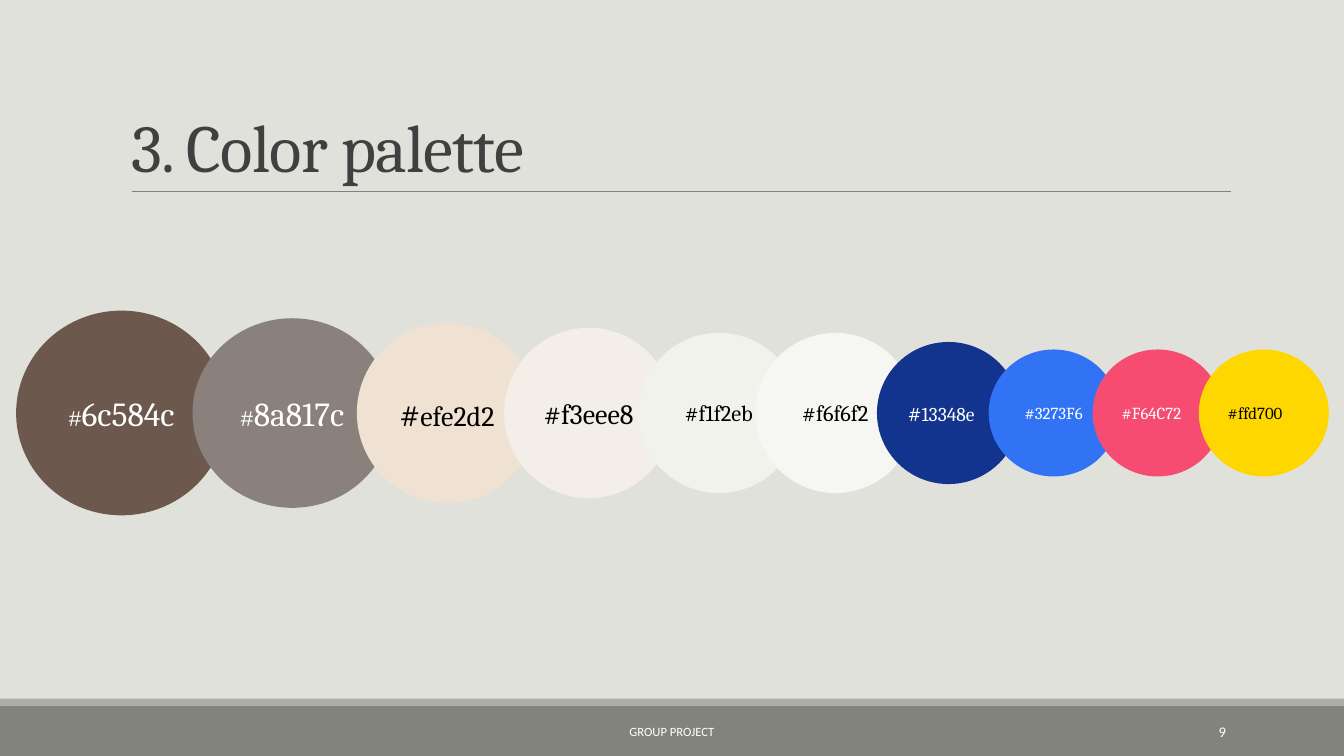
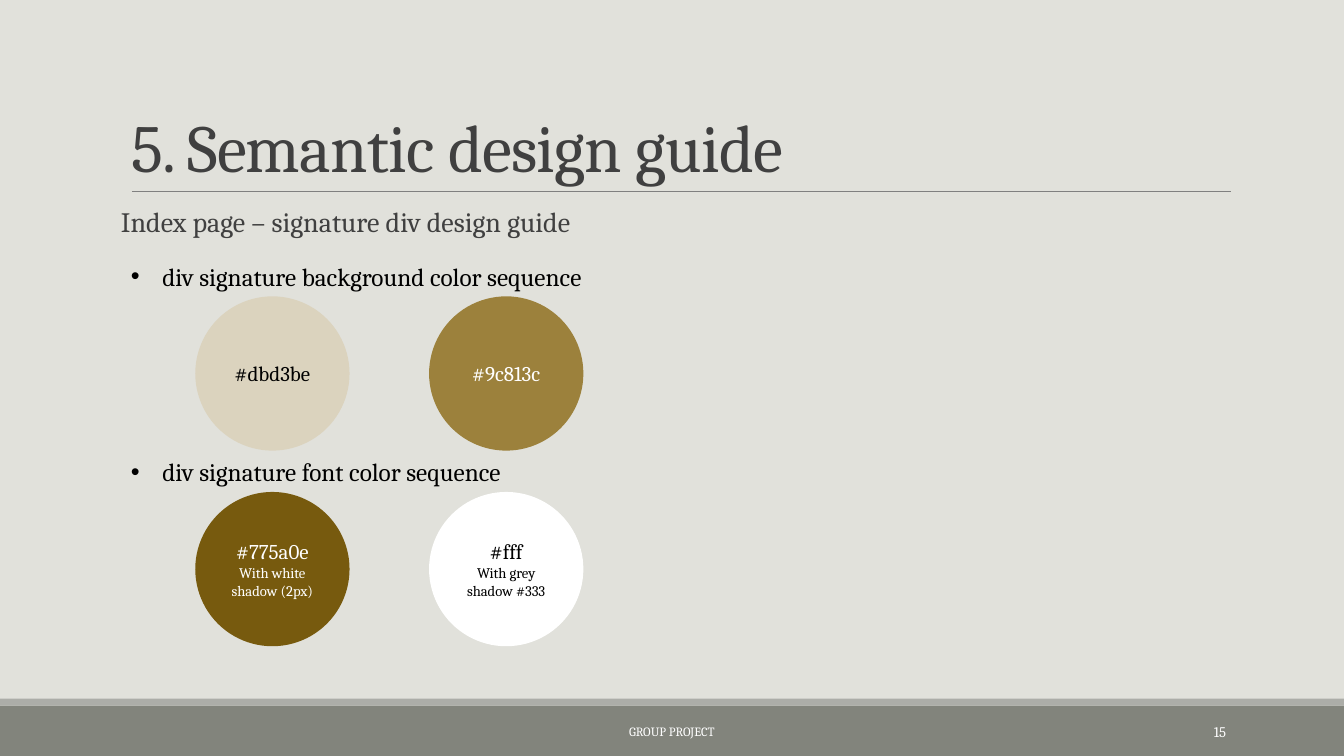
from dataclasses import dataclass
from typing import Optional

from lxml.etree import SubElement
from pptx import Presentation
from pptx.dml.color import RGBColor
from pptx.enum.shapes import MSO_CONNECTOR, MSO_SHAPE
from pptx.enum.text import MSO_ANCHOR, MSO_AUTO_SIZE, PP_ALIGN
from pptx.oxml.ns import qn
from pptx.util import Pt


@dataclass(frozen=True)
class Theme:
    background: str = "E1E1DB"
    band: str = "82847C"
    band_edge: str = "ACADA8"
    rule: str = "808080"
    heading: str = "404040"
    dark: str = "000000"
    light: str = "FFFFFF"
    serif: str = "Cambria"
    sans: str = "Calibri"
    mono: str = "Courier New"
    title_size: float = 48
    subtitle_size: float = 20
    bullet_size: float = 18
    code_size: float = 15
    note_size: float = 10.5
    number_size: float = 10.5
    footer_size: float = 9


THEME = Theme()
PAGE_WIDTH, PAGE_HEIGHT = 960, 540
CONTENT_LEFT, CONTENT_WIDTH = 86.4, 792


@dataclass(frozen=True)
class Span:
    text: str
    size: float
    font: str = THEME.serif


@dataclass(frozen=True)
class Swatch:
    """A coloured circle whose paragraphs are tuples of spans."""
    fill: str
    ink: str
    paragraphs: tuple[tuple[Span, ...], ...]
    align: PP_ALIGN = PP_ALIGN.CENTER


@dataclass(frozen=True)
class PaletteCircle:
    left: float
    width: float
    height: float
    swatch: Swatch


@dataclass(frozen=True)
class SwatchRow:
    caption: str
    swatches: tuple[Swatch, ...]


def rgb(value: str) -> RGBColor:
    return RGBColor.from_string(value)


def write(para, text: str, *, size: float, color: str, font: str = THEME.serif,
          align: Optional[PP_ALIGN] = None, tracking: Optional[int] = None) -> None:
    """Append formatted text; tracking is in hundredths of a point."""
    span = para.add_run()
    span.text = text
    span.font.size = Pt(size)
    span.font.name = font
    span.font.color.rgb = rgb(color)
    if align is not None:
        para.alignment = align
    if tracking is not None:
        span.font._element.set("spc", str(tracking))


def place(shape, left: float, top: float, width: float, height: float) -> None:
    shape.left, shape.top = Pt(left), Pt(top)
    shape.width, shape.height = Pt(width), Pt(height)


def set_indent(para, margin: float, hanging: float, bullet: Optional[str] = None) -> None:
    properties = para._p.get_or_add_pPr()
    properties.set("marL", str(Pt(margin)))
    properties.set("indent", str(-Pt(hanging)))
    if bullet is None:
        SubElement(properties, qn("a:buNone"))
    else:
        SubElement(properties, qn("a:buFont")).set("typeface", "Arial")
        SubElement(properties, qn("a:buChar")).set("char", bullet)


def add_filled(page, kind: MSO_SHAPE, left: float, top: float,
               width: float, height: float, fill: str):
    shape = page.shapes.add_shape(kind, Pt(left), Pt(top), Pt(width), Pt(height))
    shape.shadow.inherit = False
    shape.fill.solid()
    shape.fill.fore_color.rgb = rgb(fill)
    shape.line.fill.background()
    return shape


def add_box(page, left: float, top: float, width: float, height: float,
            anchor: MSO_ANCHOR = MSO_ANCHOR.TOP):
    """Add a wrapping text box and return its first paragraph."""
    box = page.shapes.add_textbox(Pt(left), Pt(top), Pt(width), Pt(height))
    box.text_frame.word_wrap = True
    box.text_frame.vertical_anchor = anchor
    return box.text_frame.paragraphs[0]


def add_swatch(page, swatch: Swatch, left: float, top: float,
               width: float, height: float) -> None:
    circle = add_filled(page, MSO_SHAPE.OVAL, left, top, width, height, swatch.fill)
    frame = circle.text_frame
    frame.word_wrap = True
    frame.vertical_anchor = MSO_ANCHOR.MIDDLE
    for index, spans in enumerate(swatch.paragraphs):
        para = frame.add_paragraph() if index else frame.paragraphs[0]
        for span in spans:
            write(para, span.text, size=span.size, font=span.font,
                  color=swatch.ink, align=swatch.align)


def add_page(deck, layout_index: int, title: str, number: str, footer_font: str):
    """Add a slide with the shared bands, rule, title and footer."""
    page = deck.slides.add_slide(deck.slide_layouts[layout_index])
    add_filled(page, MSO_SHAPE.RECTANGLE, 0, 504, PAGE_WIDTH, 36, THEME.band)
    add_filled(page, MSO_SHAPE.RECTANGLE, 0, 499, PAGE_WIDTH, 5, THEME.band_edge)
    rule = page.shapes.add_connector(MSO_CONNECTOR.STRAIGHT,
                                     Pt(94.3), Pt(136.8), Pt(879), Pt(136.8))
    rule.line.color.rgb = rgb(THEME.rule)
    rule.line.width = Pt(0.5)
    SubElement(rule._element.spPr, qn("a:effectLst"))

    heading = page.shapes.title
    place(heading, CONTENT_LEFT, 22.3, CONTENT_WIDTH, 114.5)
    heading.text_frame.auto_size = MSO_AUTO_SIZE.NONE
    heading.text_frame.vertical_anchor = MSO_ANCHOR.BOTTOM
    para = heading.text_frame.paragraphs[0]
    para.line_spacing = 0.85
    write(para, title, size=THEME.title_size, color=THEME.heading,
          align=PP_ALIGN.LEFT, tracking=-50)

    write(add_box(page, 779.8, 508.3, 103, 28.8, MSO_ANCHOR.MIDDLE), number,
          size=THEME.number_size, color=THEME.light, font=footer_font,
          align=PP_ALIGN.RIGHT)
    write(add_box(page, 290.2, 508.3, 379.4, 28.8, MSO_ANCHOR.MIDDLE), "GROUP PROJECT",
          size=THEME.footer_size, color=THEME.light, font=footer_font,
          align=PP_ALIGN.CENTER)
    return page


def code(fill: str, ink: str, text: str, size: float,
         align: PP_ALIGN = PP_ALIGN.CENTER) -> Swatch:
    return Swatch(fill, ink, ((Span(text, size),),), align)


def hash_code(fill: str, ink: str, digits: str, size: float, hash_size: float,
              hash_font: str = THEME.serif,
              align: PP_ALIGN = PP_ALIGN.CENTER) -> Swatch:
    """A colour code whose hash sign has its own format."""
    return Swatch(fill, ink, ((Span("#", hash_size, hash_font), Span(digits, size)),), align)


def noted_code(fill: str, ink: str, text: str, note: str) -> Swatch:
    return Swatch(fill, ink, ((Span(text, THEME.code_size),), (Span(note, THEME.note_size),)))


PALETTE = (
    PaletteCircle(11.5, 150.5, 146.2,
                  hash_code("6C584C", THEME.light, "6c584c", 24, 16, THEME.mono)),
    PaletteCircle(137.5, 142.6, 135.4,
                  hash_code("8A817C", THEME.light, "8a817c", 24, 16, THEME.mono)),
    PaletteCircle(254.9, 128.9, 128.9, hash_code("EFE2D2", THEME.dark, "efe2d2", 20, 24)),
    PaletteCircle(360, 121, 121.7, code("F3EEE8", THEME.dark, "#f3eee8", 20)),
    PaletteCircle(456, 115, 114.5, code("F1F2EB", THEME.dark, "#f1f2eb", 16)),
    PaletteCircle(539.5, 114.5, 114.5, code("F6F6F2", THEME.dark, "#f6f6f2", 16)),
    PaletteCircle(626.4, 102.2, 101.5,
                  hash_code("13348E", THEME.light, "13348e", 14, 16, align=PP_ALIGN.LEFT)),
    PaletteCircle(706.2, 92.9, 90.7, code("3273F6", THEME.light, "#3273F6", 12)),
    PaletteCircle(780.5, 92.9, 90.7,
                  code("F64C72", THEME.light, "#F64C72", 12, PP_ALIGN.LEFT)),
    PaletteCircle(856.3, 92.9, 90.7,
                  code("FFD700", THEME.dark, "#ffd700", 12, PP_ALIGN.LEFT)),
)

SIGNATURE_ROWS = (
    SwatchRow("div signature background color sequence", (
        code("DBD3BE", THEME.dark, "#dbd3be", THEME.code_size),
        code("9C813C", THEME.light, "#9c813c", THEME.code_size))),
    SwatchRow("div signature font color sequence", (
        noted_code("775A0E", THEME.light, "#775a0e", "With white shadow (2px)"),
        noted_code("FFFFFF", THEME.dark, "#fff", "With grey shadow #333"))),
)


def build_palette(deck) -> None:
    page = add_page(deck, 5, "3. Color palette", "9", THEME.sans)
    middle = 295
    for circle in PALETTE:
        add_swatch(page, circle.swatch, circle.left, middle - circle.height / 2,
                   circle.width, circle.height)


def build_design_guide(deck) -> None:
    page = add_page(deck, 1, "5. Semantic design guide", "15", THEME.serif)
    body = page.placeholders[1]
    place(body, CONTENT_LEFT, 145.4, CONTENT_WIDTH, 316.8)
    frame = body.text_frame
    frame.auto_size = MSO_AUTO_SIZE.NONE
    frame.margin_left = frame.margin_right = 0
    para = frame.paragraphs[0]
    para.line_spacing = 0.9
    para.space_before, para.space_after = Pt(12), Pt(2)
    set_indent(para, 0, 0)
    write(para, "Index page – signature div design guide",
          size=THEME.subtitle_size, color=THEME.heading)

    diameter, row_pitch, column_pitch = 110.2, 139.7, 167
    for row_index, row in enumerate(SIGNATURE_ROWS):
        top = 182.9 + row_index * row_pitch
        caption = add_box(page, CONTENT_LEFT, top, 363, 28.8)
        set_indent(caption, 22.5, 22.5, "•")
        write(caption, row.caption, size=THEME.bullet_size, color=THEME.dark)
        for column, swatch in enumerate(row.swatches):
            add_swatch(page, swatch, 139.5 + column * column_pitch, top + 28.8,
                       diameter, diameter)


def main() -> None:
    deck = Presentation()
    deck.slide_width, deck.slide_height = Pt(PAGE_WIDTH), Pt(PAGE_HEIGHT)
    fill = deck.slide_master.background.fill
    fill.solid()
    fill.fore_color.rgb = rgb(THEME.background)
    build_palette(deck)
    build_design_guide(deck)
    deck.save("out.pptx")


if __name__ == "__main__":
    main()
